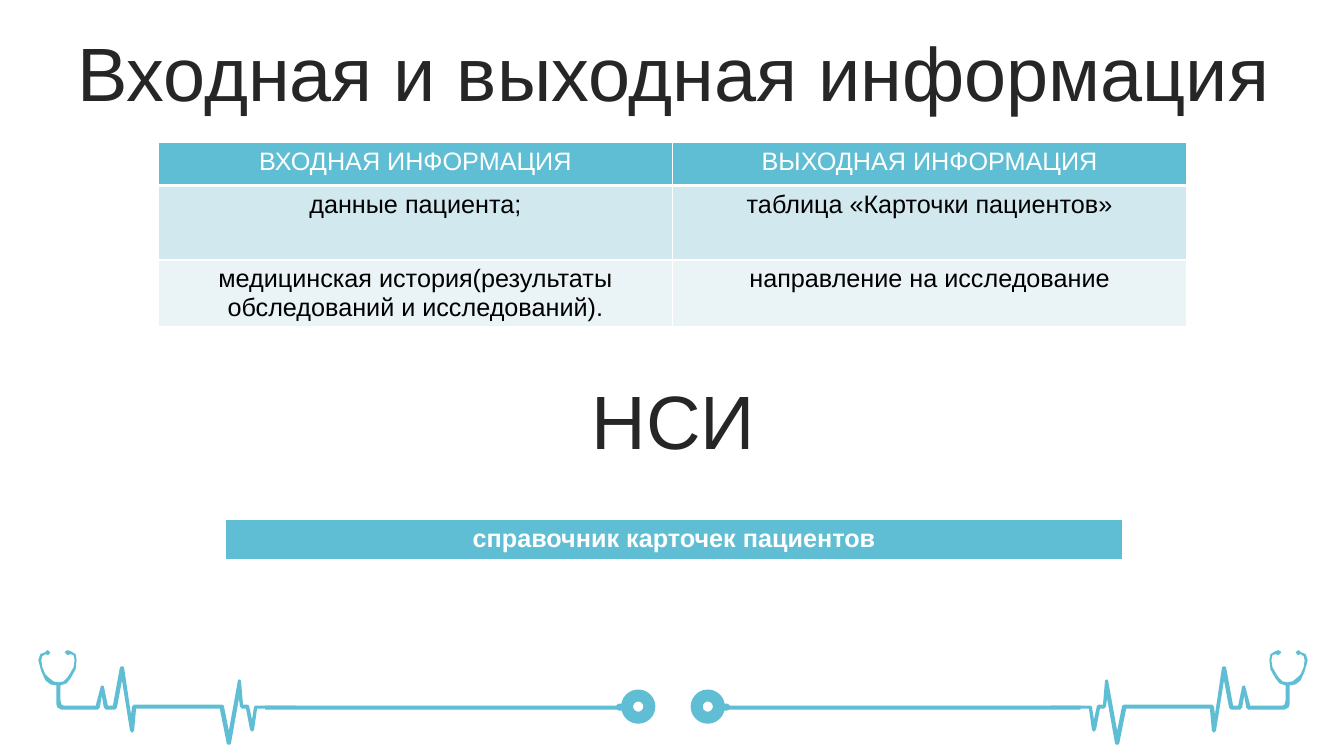
from dataclasses import dataclass

from lxml.etree import SubElement as Sub
from pptx import Presentation as Deck
from pptx.dml.color import RGBColor as Rgb
from pptx.enum.shapes import MSO_SHAPE as Kind
from pptx.enum.text import MSO_ANCHOR as Anchor, MSO_AUTO_SIZE as Fit, PP_ALIGN as Align
from pptx.oxml.ns import qn
from pptx.util import Inches, Pt


@dataclass(frozen=True)
class Theme:
    font: str = "Arial"
    teal: str = "60BED4"
    ink: str = "262626"
    black: str = "000000"
    white: str = "FFFFFF"
    pale: str = "D2E8EF"
    faint: str = "EAF4F7"
    head: float = 54
    text: float = 18
    ring: float = 8.57


@dataclass(frozen=True)
class Box:
    left: float
    top: float
    width: float
    height: float

    def place(self) -> tuple:
        return tuple(Inches(n) for n in (self.left, self.top, self.width, self.height))


@dataclass(frozen=True)
class Row:
    height: float
    cells: tuple
    fill: str
    color: str
    rule: float = 1
    bold: bool = False


@dataclass(frozen=True)
class Part:
    kind: Kind
    box: Box
    ring: bool = False


THEME = Theme()
SPAN = 13.35
PULSE = (
    (0.38, 6.55), (0.4, 6.49), (0.45, 6.47), (0.47, 6.45), (0.5, 6.47), (0.48, 6.5),
    (0.45, 6.49), (0.42, 6.51), (0.41, 6.55), (0.42, 6.62), (0.45, 6.69), (0.48, 6.72),
    (0.53, 6.76), (0.58, 6.77), (0.63, 6.76), (0.67, 6.72), (0.69, 6.69), (0.73, 6.62),
    (0.74, 6.55), (0.73, 6.5), (0.7, 6.49), (0.67, 6.5), (0.64, 6.47), (0.67, 6.45),
    (0.7, 6.46), (0.75, 6.49), (0.76, 6.55), (0.75, 6.64), (0.7, 6.73), (0.66, 6.78),
    (0.6, 6.8), (0.6, 6.95), (0.61, 6.99), (0.63, 7), (0.95, 7), (1, 6.81),
    (1.01, 6.8), (1.03, 6.81), (1.07, 7), (1.12, 7), (1.19, 6.62), (1.21, 6.61),
    (1.23, 6.62), (1.3, 7.09), (1.31, 7.01), (1.33, 6.99), (2.2, 6.99), (2.22, 7),
    (2.27, 7.25), (2.36, 6.75), (2.37, 6.74), (2.39, 6.75), (2.41, 6.99), (2.45, 6.99),
    (2.47, 7), (2.5, 7.14), (2.52, 7.01), (2.54, 7), (2.93, 7), (2.93, 7.03),
    (2.55, 7.03), (2.52, 7.24), (2.5, 7.26), (2.48, 7.24), (2.44, 7.03), (2.4, 7.03),
    (2.38, 7.01), (2.37, 6.93), (2.29, 7.38), (2.27, 7.39), (2.25, 7.38), (2.18, 7.03),
    (1.35, 7.03), (1.33, 7.25), (1.31, 7.27), (1.29, 7.25), (1.21, 6.75), (1.16, 7.02),
    (1.14, 7.04), (1.05, 7.04), (1.03, 7.02), (1.01, 6.9), (0.99, 7.02), (0.97, 7.04),
    (0.61, 7.04), (0.57, 7.02), (0.56, 6.99), (0.56, 6.8), (0.5, 6.79), (0.45, 6.75),
    (0.41, 6.66),
)
PARTS = (
    Part(Kind.OVAL, Box(6.22, 6.9, 0.22, 0.22), ring=True),
    Part(Kind.ROUNDED_RECTANGLE, Box(6.11, 6.98, 0.11, 0.07)),
    Part(Kind.RECTANGLE, Box(2.63, 7, 3.56, 0.04)),
)
FLOWS = (
    Row(0.43, ("ВХОДНАЯ ИНФОРМАЦИЯ", "ВЫХОДНАЯ ИНФОРМАЦИЯ"), THEME.teal, THEME.white, rule=3),
    Row(0.74, ("данные пациента;", "таблица «Карточки пациентов»"), THEME.pale, THEME.black),
    Row(0.61, ("медицинская история(результаты обследований и исследований).",
               "направление на исследование"), THEME.faint, THEME.black),
)
GUIDE = (Row(0.41, ("справочник карточек пациентов",), THEME.teal, THEME.white, rule=3, bold=True),)


def write(frame, text: str, *, size: float, color: str, bold: bool = False,
          line: float = 1, before: float = 0) -> None:
    frame.word_wrap = True
    para = frame.paragraphs[0]
    para.alignment = Align.CENTER
    para.line_spacing = line
    para.space_before = Pt(before)
    run = para.add_run()
    run.text = text
    run.font.name = THEME.font
    run.font.size = Pt(size)
    run.font.bold = bold
    run.font.color.rgb = Rgb.from_string(color)


def head(shape, text: str, box: Box) -> None:
    shape.left, shape.top, shape.width, shape.height = box.place()
    frame = shape.text_frame
    frame.auto_size = Fit.NONE
    frame.vertical_anchor = Anchor.MIDDLE
    write(frame, text, size=THEME.head, color=THEME.ink, line=0.9, before=10)


def paint(shape, ring: bool = False) -> None:
    shape.shadow.inherit = False
    if ring:
        shape.fill.background()
        shape.line.color.rgb = Rgb.from_string(THEME.teal)
        shape.line.width = Pt(THEME.ring)
    else:
        shape.fill.solid()
        shape.fill.fore_color.rgb = Rgb.from_string(THEME.teal)
        shape.line.fill.background()


def scope(shapes, flip: bool) -> None:
    dots = [(Inches(SPAN - x if flip else x), Inches(y)) for x, y in PULSE]
    pen = shapes.build_freeform(*dots[0])
    pen.add_line_segments(dots[1:], close=True)
    paint(pen.convert_to_shape())
    for part in PARTS:
        box = part.box
        left = SPAN - box.left - box.width if flip else box.left
        spot = Box(left, box.top, box.width, box.height)
        shape = shapes.add_shape(part.kind, *spot.place())
        if part.kind == Kind.ROUNDED_RECTANGLE:
            shape.adjustments[0] = 0.5
        paint(shape, part.ring)


def edge(cell, side: str, width: float) -> None:
    line = Sub(cell._tc.get_or_add_tcPr(), qn(f"a:ln{side}"), w=str(Pt(width)))
    Sub(Sub(line, qn("a:solidFill")), qn("a:srgbClr"), val=THEME.white)


def grid(shapes, box: Box, rows: tuple[Row, ...]) -> None:
    table = shapes.add_table(len(rows), len(rows[0].cells), *box.place()).table
    above = 1
    for r, row in enumerate(rows):
        table.rows[r].height = Inches(row.height)
        for c, text in enumerate(row.cells):
            cell = table.cell(r, c)
            for side, width in zip("LRTB", (1, 1, above, row.rule)):
                edge(cell, side, width)
            cell.fill.solid()
            cell.fill.fore_color.rgb = Rgb.from_string(row.fill)
            write(cell.text_frame, text, size=THEME.text, color=row.color, bold=row.bold)
        above = row.rule


def main() -> None:
    deck = Deck()
    deck.slide_width, deck.slide_height = Inches(13.33), Inches(7.5)
    slide = deck.slides.add_slide(deck.slide_layouts[5])
    shapes = slide.shapes
    for flip in (True, False):
        scope(shapes, flip)
    head(shapes.title, "Входная и выходная информация", Box(0.35, 0.37, 12.66, 0.79))
    grid(shapes, Box(1.57, 1.41, 10.2, 1.78), FLOWS)
    label = Box(0.35, 3.82, 12.66, 0.79)
    head(shapes.add_textbox(*label.place()), "НСИ", label)
    grid(shapes, Box(2.24, 5.15, 8.89, 0.41), GUIDE)
    deck.save("out.pptx")


if __name__ == "__main__":
    main()
